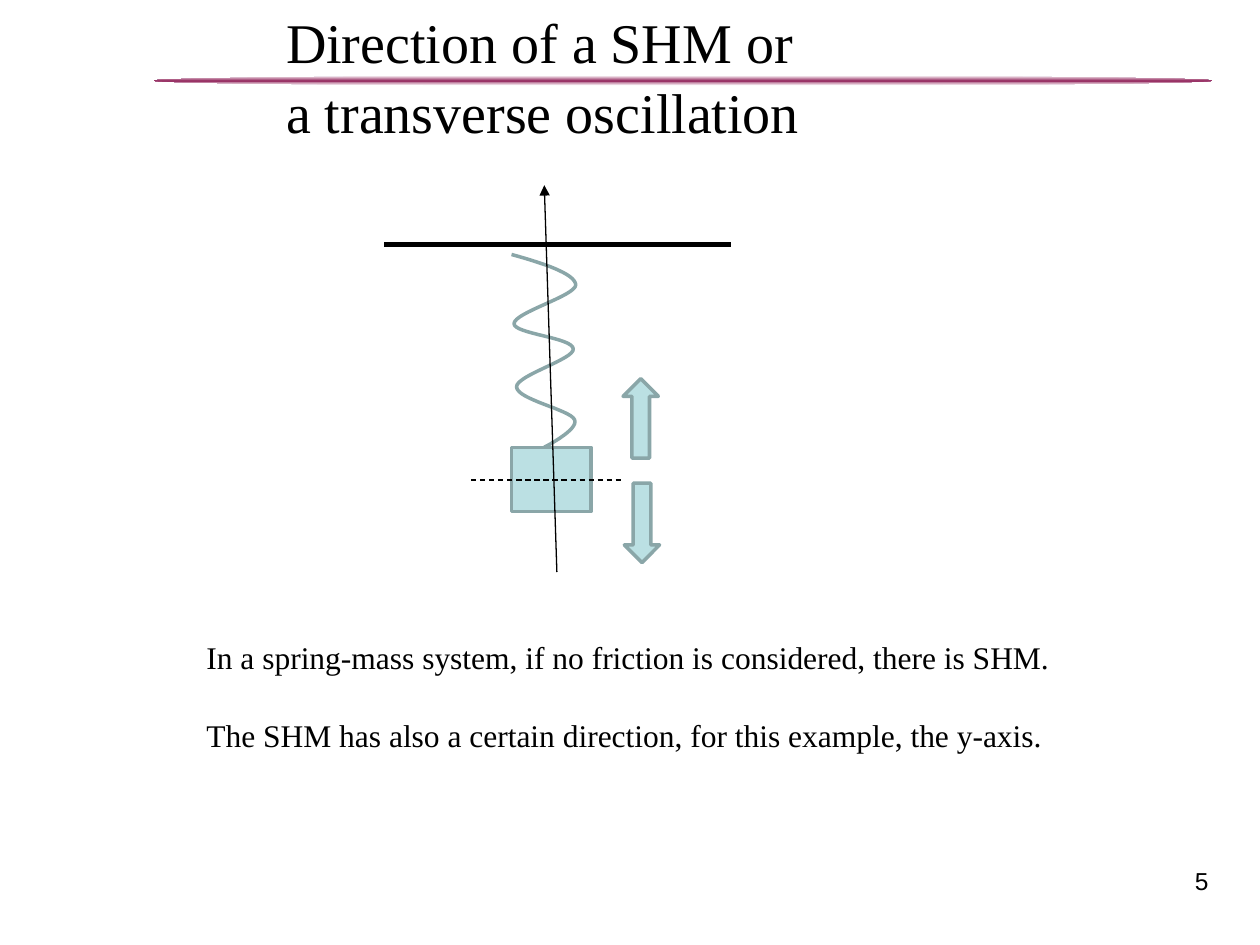
from copy import deepcopy
from dataclasses import dataclass

from lxml.etree import SubElement
from pptx import Presentation
from pptx.dml.color import RGBColor
from pptx.enum.dml import MSO_LINE
from pptx.enum.shapes import MSO_CONNECTOR, MSO_SHAPE
from pptx.enum.text import MSO_ANCHOR, PP_ALIGN
from pptx.oxml.ns import qn
from pptx.util import Inches, Pt


@dataclass(frozen=True)
class Theme:
    serif: str = "Times New Roman"
    sans: str = "Arial"
    title_size: int = 32
    body_size: int = 18
    number_size: int = 14
    spacing: float = 1.05
    ink: RGBColor = RGBColor(0x00, 0x00, 0x00)
    paper: RGBColor = RGBColor(0xFF, 0xFF, 0xFF)
    accent: RGBColor = RGBColor(0x99, 0x33, 0x66)
    fill: RGBColor = RGBColor(0xBB, 0xE0, 0xE3)
    outline: RGBColor = RGBColor(0x8A, 0xA6, 0xA8)


class SlideBuilder:
    def __init__(self, slide, theme):
        self.slide = slide
        self.shapes = slide.shapes
        self.theme = theme

    def fill_text(self, tf, lines, size, font, align=PP_ALIGN.LEFT, spacing=1.0, gap=0):
        tf.word_wrap = True
        tf.vertical_anchor = MSO_ANCHOR.TOP
        for i, line in enumerate(lines):
            p = tf.paragraphs[0] if i == 0 else tf.add_paragraph()
            p.alignment = align
            p.line_spacing = spacing
            p.space_before = Pt(gap if i else 0)
            r = p.add_run()
            r.text = line
            r.font.size = Pt(size)
            r.font.name = font
            r.font.color.rgb = self.theme.ink

    def title(self, text, x, y, w, h):
        sp = self.shapes.title
        sp.left, sp.top, sp.width, sp.height = map(Inches, (x, y, w, h))
        self.fill_text(sp.text_frame, [text], self.theme.title_size, self.theme.serif,
                       spacing=self.theme.spacing)
        # Keep the title in front of the rule
        self.shapes._spTree.append(sp._element)

    def text(self, lines, x, y, w, h, size, font, **style):
        tb = self.shapes.add_textbox(*map(Inches, (x, y, w, h)))
        self.fill_text(tb.text_frame, lines, size, font, **style)

    def rule(self, x, y, w, h):
        sp = self.shapes.add_shape(MSO_SHAPE.OVAL, *map(Inches, (x, y, w, h)))
        sp.shadow.inherit = False
        sp.line.fill.background()
        sp.fill.gradient()
        sp.fill.gradient_angle = 90
        gs_list = sp._element.spPr.find(qn("a:gradFill")).find(qn("a:gsLst"))
        gs_list.append(deepcopy(gs_list[-1]))
        colors = (self.theme.paper, self.theme.accent, self.theme.paper)
        for i, (stop, color) in enumerate(zip(sp.fill.gradient_stops, colors)):
            stop.position = i / 2
            stop.color.rgb = color

    def outline(self, sp):
        sp.shadow.inherit = False
        sp.line.color.rgb = self.theme.outline
        sp.line.width = Pt(2)

    def shape(self, kind, x, y, w, h, rotation=0):
        sp = self.shapes.add_shape(kind, *map(Inches, (x, y, w, h)))
        sp.fill.solid()
        sp.fill.fore_color.rgb = self.theme.fill
        self.outline(sp)
        sp.rotation = rotation

    def curve(self, start, segments, steps=16):
        """Draw joined cubic curves, each given by two controls and an end."""
        points, p0 = [], start
        for p1, p2, p3 in segments:
            for i in range(1, steps + 1):
                t = i / steps
                weights = ((1 - t) ** 3, 3 * t * (1 - t) ** 2, 3 * t * t * (1 - t), t ** 3)
                points.append(tuple(
                    Inches(sum(k * c for k, c in zip(weights, axis)))
                    for axis in zip(p0, p1, p2, p3)))
            p0 = p3
        builder = self.shapes.build_freeform(*map(Inches, start))
        builder.add_line_segments(points, close=False)
        sp = builder.convert_to_shape()
        sp.fill.background()
        self.outline(sp)

    def line(self, x1, y1, x2, y2, width=0.75, dash=None, arrow=False):
        cx = self.shapes.add_connector(MSO_CONNECTOR.STRAIGHT,
                                       *map(Inches, (x1, y1, x2, y2)))
        cx.line.color.rgb = self.theme.ink
        cx.line.width = Pt(width)
        if dash:
            cx.line.dash_style = dash
        if arrow:
            SubElement(cx.line._get_or_add_ln(), qn("a:tailEnd"), type="triangle")
        SubElement(cx._element.spPr, qn("a:effectLst"))


def main():
    prs = Presentation()
    prs.slide_width, prs.slide_height = Inches(10), Inches(7.5)
    theme = Theme()
    s = SlideBuilder(prs.slides.add_slide(prs.slide_layouts[5]), theme)

    # Rule, page number and title
    s.rule(1.22, 0.6, 8.4, 0.08)
    s.text(["5"], 7.36, 6.82, 2.33, 0.45, theme.number_size, theme.sans,
           align=PP_ALIGN.RIGHT)
    s.title("Direction of a SHM or a transverse oscillation", 2.17, -0.02, 4.52, 1.18)

    # Spring and mass
    s.curve((4.06, 2.02), [
        ((4.31, 2.09), (4.56, 2.17), (4.57, 2.26)),
        ((4.57, 2.35), (4.08, 2.48), (4.08, 2.57)),
        ((4.08, 2.65), (4.55, 2.68), (4.55, 2.77)),
        ((4.56, 2.85), (4.1, 2.98), (4.1, 3.07)),
        ((4.1, 3.17), (4.52, 3.25), (4.56, 3.33)),
        ((4.6, 3.41), (4.32, 3.55), (4.32, 3.55)),
    ])
    s.shape(MSO_SHAPE.RECTANGLE, 4.06, 3.55, 0.63, 0.51)

    # Explanation
    s.text(["In a spring-mass system, if no friction is considered, there is SHM.",
            "The SHM has also a certain direction, for this example, the y-axis."],
           1.54, 5, 7.83, 1.01, theme.body_size, theme.serif,
           spacing=theme.spacing, gap=21.7)

    # Ceiling and y-axis
    s.line(3.05, 1.94, 5.8, 1.94, width=3)
    s.line(4.42, 4.54, 4.32, 1.47, arrow=True)

    # Directions of motion about the rest position
    for x, y, rotation in ((4.77, 3.18, 270), (4.78, 4.01, 90)):
        s.shape(MSO_SHAPE.RIGHT_ARROW, x, y, 0.63, 0.28, rotation)
    s.line(3.74, 3.81, 4.94, 3.81, dash=MSO_LINE.DASH)

    prs.save("out.pptx")


if __name__ == "__main__":
    main()
